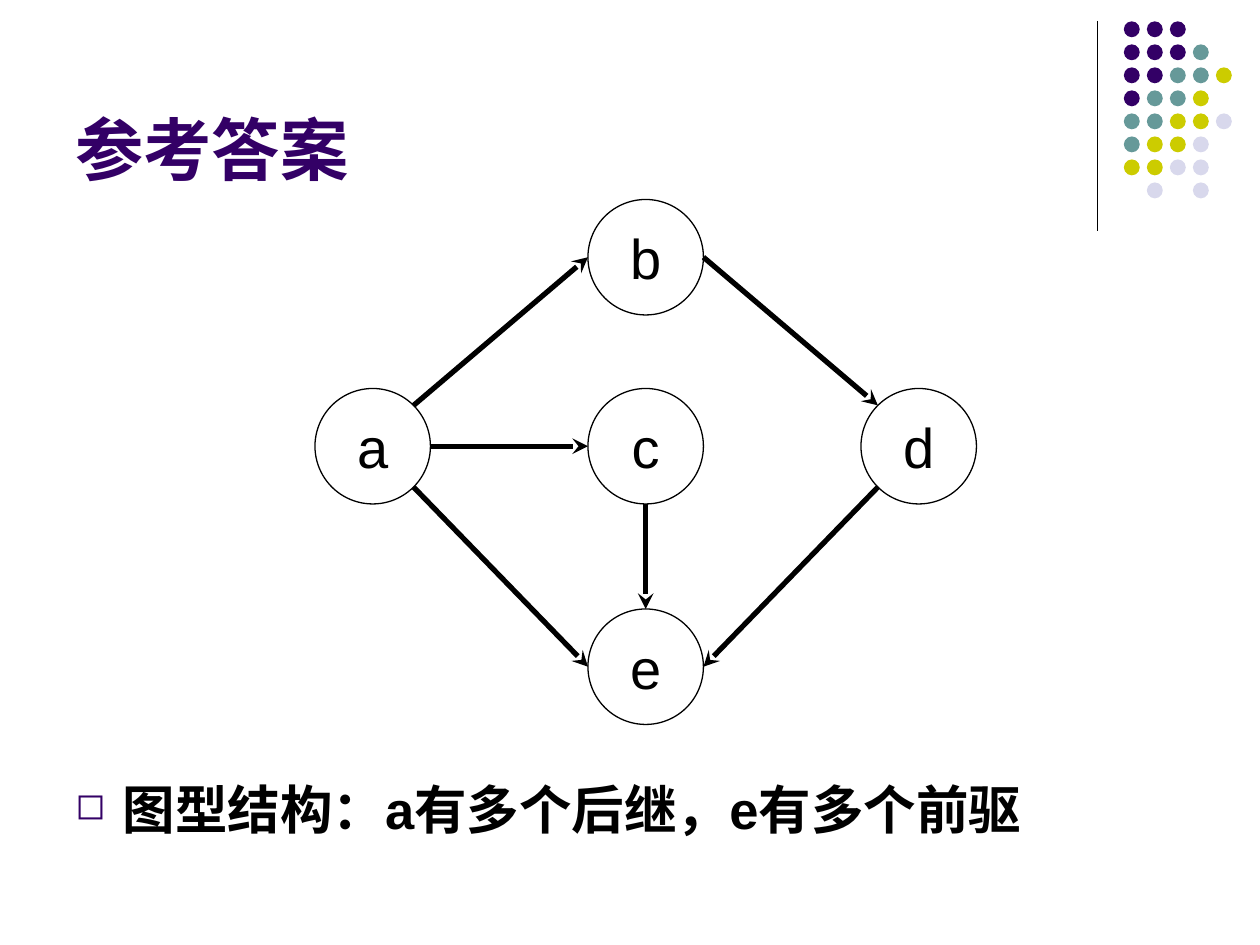
import math
from typing import Any, NamedTuple

import pptx
import pptx.dml.color
import pptx.enum.shapes
import pptx.enum.text
import pptx.oxml
import pptx.oxml.ns
import pptx.util
from lxml import etree

Pt = pptx.util.Pt
Oval = pptx.enum.shapes.MSO_SHAPE.OVAL
Line = pptx.enum.shapes.MSO_CONNECTOR.STRAIGHT
Align = pptx.enum.text.PP_ALIGN
Anchor = pptx.enum.text.MSO_ANCHOR

HUES = {
    "ink": "000000",
    "plum": "330066",
    "teal": "669999",
    "lime": "CCCC00",
    "mist": "D8D8EC",
}
SIZE = 66  # node diameter
DOTS = ["PPP", "PPPT", "PPTTL", "PTTL", "TTLLM", "TLLM", "LLMM", " M M"]
KEYS = {"P": "plum", "T": "teal", "L": "lime", "M": "mist"}


class Node(NamedTuple):
    name: str
    left: float
    top: float


class Edge(NamedTuple):
    start: str
    exit: int  # angle on the rim in degrees, clockwise from the right
    end: str
    entry: int


class Label(NamedTuple):
    text: str
    left: float
    top: float
    width: float
    height: float
    size: float
    hue: str
    anchor: Any


NODES = [
    Node("a", 180, 222),
    Node("e", 336, 348),
    Node("d", 492, 222),
    Node("b", 336, 114),
    Node("c", 336, 222),
]
EDGES = [
    Edge("a", -45, "b", 180),
    Edge("a", 0, "c", 180),
    Edge("d", 135, "e", 0),
    Edge("b", 0, "d", -135),
    Edge("a", 45, "e", 180),
    Edge("c", 90, "e", -90),
]
TITLE = Label("参考答案", 36, 9.4, 594, 102, 39, "plum", Anchor.BOTTOM)
NOTE = Label("图型结构：a有多个后继，e有多个前驱", 36, 438, 648, 48, 30, "ink", Anchor.MIDDLE)


def tint(hue: str) -> Any:
    return pptx.dml.color.RGBColor.from_string(HUES[hue])


def apply(item: Any, vals: dict) -> None:
    for key, val in vals.items():
        setattr(item, key, val)


def style(run: Any, size: float, hue: str, bold: bool) -> None:
    apply(run.font, {"name": "Arial", "size": Pt(size), "bold": bold})
    run.font.color.rgb = tint(hue)


def add_line(slide: Any, ends: list, width: float) -> Any:
    line = slide.shapes.add_connector(Line, *[Pt(val) for val in ends])
    line.line.color.rgb = tint("ink")
    line.line.width = Pt(width)
    etree.SubElement(line._element.spPr, pptx.oxml.ns.qn("a:effectLst"))
    return line


def add_oval(slide: Any, left: float, top: float, size: float) -> Any:
    oval = slide.shapes.add_shape(Oval, Pt(left), Pt(top), Pt(size), Pt(size))
    oval.shadow.inherit = False
    return oval


def add_dots(slide: Any) -> None:
    step = 13.15
    for row, marks in enumerate(DOTS):
        for col, mark in enumerate(marks):
            if mark in KEYS:
                dot = add_oval(slide, 642.2 + col * step, 12.2 + row * step, 9.1)
                dot.fill.solid()
                dot.fill.fore_color.rgb = tint(KEYS[mark])
                dot.line.fill.background()


def add_label(slide: Any, label: Label) -> Any:
    box = slide.shapes.add_textbox(*[Pt(val) for val in label[1:5]])
    apply(box.text_frame, {"word_wrap": True, "vertical_anchor": label.anchor})
    para = box.text_frame.paragraphs[0]
    run = para.add_run()
    run.text = label.text
    style(run, label.size, label.hue, True)
    return para


def add_mark(para: Any) -> None:
    props = para._p.get_or_add_pPr()
    props.set("marL", str(Pt(27)))
    props.set("indent", str(-Pt(27)))
    space = pptx.oxml.ns.nsdecls("a")
    for part in (
        f'<a:buClr {space}><a:srgbClr val="{HUES["plum"]}"/></a:buClr>',
        f'<a:buSzPct {space} val="70000"/>',
        f'<a:buChar {space} char="◻"/>',
    ):
        props.append(pptx.oxml.parse_xml(part))


def add_node(slide: Any, node: Node) -> None:
    oval = add_oval(slide, node.left, node.top, SIZE)
    oval.fill.background()
    oval.line.color.rgb = tint("ink")
    oval.line.width = Pt(0.75)
    apply(oval.text_frame, {"word_wrap": False, "vertical_anchor": Anchor.MIDDLE})
    para = oval.text_frame.paragraphs[0]
    para.alignment = Align.CENTER
    run = para.add_run()
    run.text = node.name
    style(run, 32, "ink", False)


def rim(node: Node, angle: int) -> list:
    half, turn = SIZE / 2, math.radians(angle)
    return [
        node.left + half + half * math.cos(turn),
        node.top + half + half * math.sin(turn),
    ]


def add_edge(slide: Any, edge: Edge, nodes: dict) -> None:
    ends = rim(nodes[edge.start], edge.exit) + rim(nodes[edge.end], edge.entry)
    line = add_line(slide, ends, 3)
    tip = etree.SubElement(line.line._get_or_add_ln(), pptx.oxml.ns.qn("a:tailEnd"))
    tip.set("type", "stealth")


def main() -> None:
    deck = pptx.Presentation()
    apply(deck, {"slide_width": Pt(720), "slide_height": Pt(540)})
    slide = deck.slides.add_slide(deck.slide_layouts[6])

    # Corner ornament
    add_line(slide, [627, 12, 627, 132], 0.75)
    add_dots(slide)

    # Title and bulleted answer
    add_mark(add_label(slide, NOTE))
    add_label(slide, TITLE)

    # Graph
    for node in NODES:
        add_node(slide, node)
    nodes = {node.name: node for node in NODES}
    for edge in EDGES:
        add_edge(slide, edge, nodes)

    deck.save("out.pptx")


if __name__ == "__main__":
    main()
